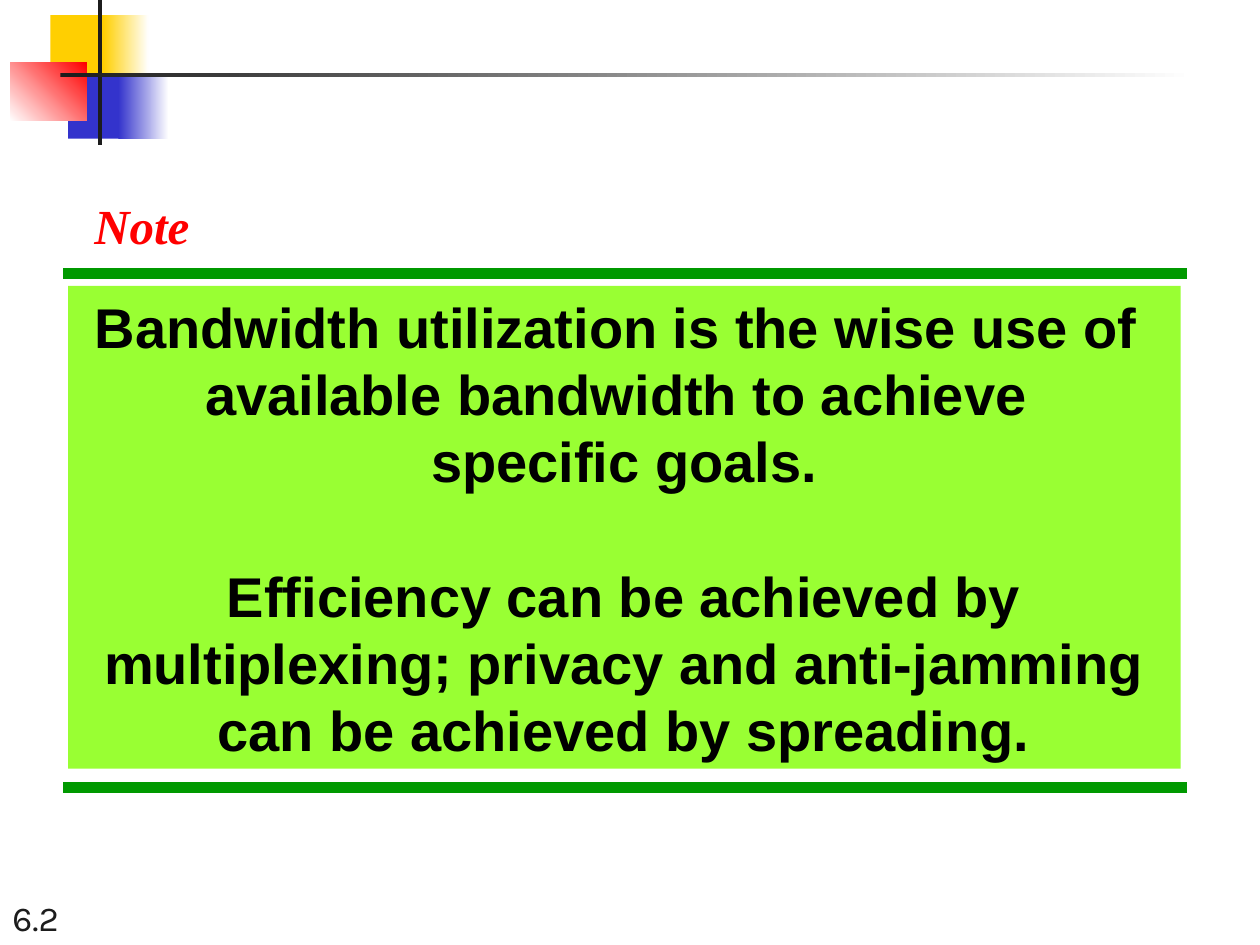
import pptx
import pptx.util
import pptx.dml.color
import pptx.enum.shapes
import pptx.enum.text
import pptx.oxml.ns
import lxml.etree

WIDE, HIGH = 10, 7.5
LEAD = 38.4
GREEN, INK, WHITE = "009900", "1C1C1C", "FFFFFF"
GOLD, BLUE, RED = "FFCF01", "3333CC", "FF0000"
ALIGN = pptx.enum.text.PP_ALIGN
ANCHOR = pptx.enum.text.MSO_ANCHOR


def color(code):
    """Turn a hex string into a colour."""
    return pptx.dml.color.RGBColor.from_string(code)


def place(x, y, w, h):
    """Turn inches into shape bounds."""
    return [pptx.util.Inches(v) for v in (x, y, w, h)]


def block(slide, box, tint, fade=None, angle=0):
    """Add a plain rectangle, fading to a second colour if one is given."""
    shape = slide.shapes.add_shape(
        pptx.enum.shapes.MSO_SHAPE.RECTANGLE, *place(*box))
    shape.shadow.inherit = False
    shape.line.fill.background()
    if fade:
        shape.fill.gradient()
        shape.fill.gradient_angle = angle
        for stop, code in zip(shape.fill.gradient_stops, (tint, fade)):
            stop.color.rgb = color(code)
    else:
        shape.fill.solid()
        shape.fill.fore_color.rgb = color(tint)
    return shape


def rule(slide, y):
    """Add a thick green line at a given height."""
    left, top, right, end = place(0.5, y, 9.42, y)
    line = slide.shapes.add_connector(
        pptx.enum.shapes.MSO_CONNECTOR.STRAIGHT, left, top, right, end)
    line.line.color.rgb = color(GREEN)
    line.line.width = pptx.util.Pt(6)
    props = line._element.spPr
    lxml.etree.SubElement(props, pptx.oxml.ns.qn("a:effectLst"))


def write(shape, *texts, size, font, tint, bold=False, italic=False,
          align=ALIGN.LEFT, anchor=ANCHOR.TOP, wrap=True, lead=None):
    """Fill a shape with paragraphs in one format."""
    frame = shape.text_frame
    frame.word_wrap = wrap
    frame.vertical_anchor = anchor
    for i, text in enumerate(texts):
        para = frame.add_paragraph() if i else frame.paragraphs[0]
        para.text = text
        para.alignment = align
        if lead:
            para.line_spacing = pptx.util.Pt(lead)
            if i:
                para.space_before = pptx.util.Pt(lead)
        for run in para.runs:
            run.font.size = pptx.util.Pt(size)
            run.font.name = font
            run.font.bold = bold
            run.font.italic = italic
            run.font.color.rgb = color(tint)


def badge(slide):
    """Draw the coloured squares and the crossed bars."""
    block(slide, (0.4, 0.12, 0.48, 0.52), GOLD)
    block(slide, (0.82, 0.12, 0.36, 0.52), GOLD, WHITE)
    block(slide, (0.54, 0.58, 0.46, 0.52), BLUE)
    block(slide, (0.94, 0.58, 0.4, 0.52), BLUE, WHITE)
    block(slide, (0.08, 0.5, 0.61, 0.46), WHITE, RED, 45)
    block(slide, (0.78, 0, 0.03, 1.15), INK)
    block(slide, (0.48, 0.58, 9, 0.03), INK, WHITE)


def main():
    """Build and save the slide."""
    deck = pptx.Presentation()
    deck.slide_width = pptx.util.Inches(WIDE)
    deck.slide_height = pptx.util.Inches(HIGH)
    slide = deck.slides.add_slide(deck.slide_layouts[6])
    page = slide.shapes.add_textbox(*place(0, 7, 2.08, 0.5))
    write(page, "6.2", size=20, font="Karla", tint=INK, anchor=ANCHOR.BOTTOM)
    badge(slide)
    for y in (2.17, 6.25):
        rule(slide, y)
    panel = block(slide, (0.54, 2.27, 8.83, 3.83), "99FF33")
    write(panel,
          "Bandwidth utilization is the wise use of \v"
          "available bandwidth to achieve \vspecific goals.",
          "Efficiency can be achieved by multiplexing; privacy and "
          "anti-jamming can be achieved by spreading.",
          size=32, font="Arial", tint="000000", bold=True,
          align=ALIGN.CENTER, lead=LEAD)
    note = slide.shapes.add_textbox(*place(0.65, 1.5, 0.96, 0.57))
    write(note, "Note", size=28, font="Times New Roman", tint=RED,
          bold=True, italic=True, wrap=False)
    deck.save("out.pptx")


if __name__ == "__main__":
    main()
